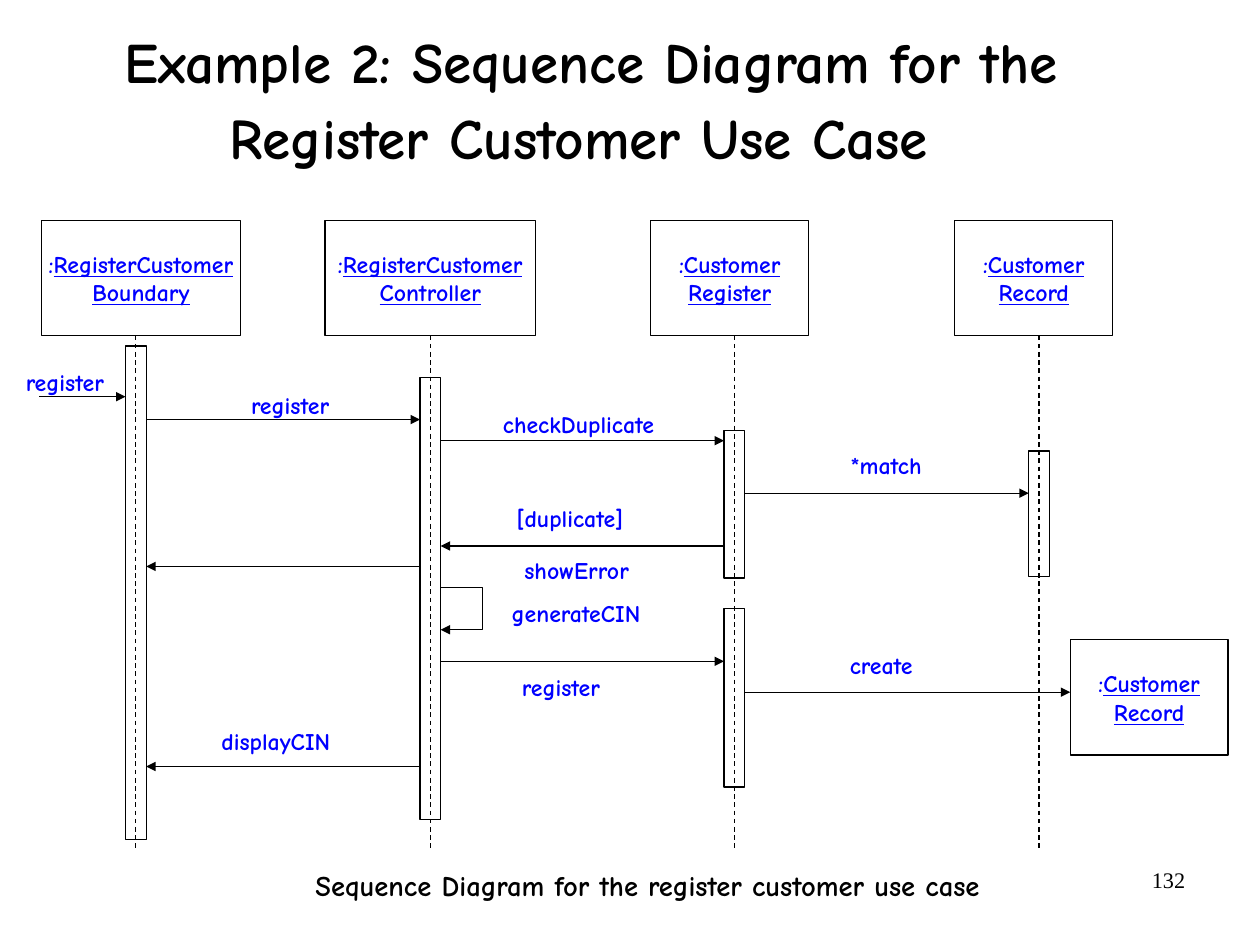
import pptx
import pptx.dml.color
import pptx.enum.dml
import pptx.enum.shapes
import pptx.enum.text
import pptx.oxml
import pptx.oxml.ns
import pptx.util
from lxml import etree

Pt = pptx.util.Pt
ALIGN = pptx.enum.text.PP_ALIGN
ANCHOR = pptx.enum.text.MSO_ANCHOR
FIT = pptx.enum.text.MSO_AUTO_SIZE
COLORS = {"ink": "000000", "label": "0000FF"}
TITLE_FONT = {"name": "Comic Neue", "size": Pt(36), "bold": True}
LABEL_FONT = {"name": "Comic Neue", "size": Pt(15), "bold": True}
CAPTION_FONT = {"name": "Comic Neue", "size": Pt(18), "bold": True}
NUMBER_FONT = {"name": "Times New Roman", "size": Pt(14), "bold": False}
GROWING = {"word_wrap": False, "auto_size": FIT.SHAPE_TO_FIT_TEXT}
FIXED = {"word_wrap": True, "auto_size": FIT.NONE}

HEAD_HEIGHT = 72.7
HALF_BAR = 6.5
PARTICIPANTS = {
    "boundary": (10.6, 125.3, 70, "RegisterCustomer", "Boundary"),
    "controller": (189.2, 132.5, 255.5, "RegisterCustomer", "Controller"),
    "register": (394.4, 99.4, 447, "Customer", "Register"),
    "record": (585.9, 99.4, 639, "Customer", "Record"),
}
CREATED_RECORD = (658.6, 264.2, 99.4, HEAD_HEIGHT)
ACTIVATIONS = [
    ("boundary", 79.2, 311),
    ("controller", 99.3, 278),
    ("register", 132.4, 93),
    ("register", 244.8, 112.3),
    ("record", 145.4, 79.2),
]
MESSAGES = [
    ("actor", "boundary", 111.2),
    ("boundary", "controller", 125.6),
    ("controller", "register", 138.9),
    ("register", "record", 172),
    ("register", "controller", 205.2),
    ("controller", "boundary", 218.1),
    ("controller", "register", 277.9),
    ("register", "created", 297.3),
    ("controller", "boundary", 344.1),
]
LABELS = [
    ("register", 0.2, 92.8, 49.7),
    ("register", 142.1, 107.5, 49.7),
    ("checkDuplicate", 300.8, 119.5, 95.8),
    ("*match", 519.7, 145.4, 45.4),
    ("[duplicate]", 309.4, 178.5, 67.7),
    ("showError", 314.5, 211.6, 66.2),
    ("generateCIN", 305.8, 238.3, 82.1),
    ("register", 312.7, 284.7, 49.7),
    ("create", 519, 271.4, 40.3),
    ("displayCIN", 123.5, 319.2, 69),
]


def apply(target, values):
    """Set each named value on the target."""
    for name, value in values.items():
        setattr(target, name, value)


def set_frame(frame, margins, **values):
    """Set left-right and top-bottom margins and other frame values."""
    side, edge = (Pt(margin) for margin in margins)
    apply(frame, {"margin_left": side, "margin_right": side, "margin_top": edge,
                  "margin_bottom": edge, **values})


def add_run(paragraph, text, font, color, **extra):
    """Add one formatted run."""
    run = paragraph.add_run()
    run.text = text
    apply(run.font, {**font, **extra})
    run.font.color.rgb = pptx.dml.color.RGBColor.from_string(COLORS[color])


def draw_line(shape, dashed=False, arrow=False):
    """Give a shape or connector a thin ink line without shadow."""
    shape.line.color.rgb = pptx.dml.color.RGBColor.from_string(COLORS["ink"])
    shape.line.width = Pt(0.75)
    if dashed:
        shape.line.dash_style = pptx.enum.dml.MSO_LINE.DASH
    properties = shape.element.spPr
    if arrow:
        outline = properties.find(pptx.oxml.ns.qn("a:ln"))
        etree.SubElement(outline, pptx.oxml.ns.qn("a:tailEnd"), type="triangle")
    if properties.find(pptx.oxml.ns.qn("a:effectLst")) is None:
        etree.SubElement(properties, pptx.oxml.ns.qn("a:effectLst"))


def add_outline(slide, box):
    """Add an unfilled rectangle."""
    outline = slide.shapes.add_shape(pptx.enum.shapes.MSO_SHAPE.RECTANGLE, *map(Pt, box))
    outline.fill.background()
    draw_line(outline)
    return outline


def add_straight(slide, start, end, **look):
    """Add a straight line between two points."""
    line = slide.shapes.add_connector(
        pptx.enum.shapes.MSO_CONNECTOR.STRAIGHT, *map(Pt, (*start, *end)))
    draw_line(line, **look)


def add_text(slide, box, text, font, color, align, margins=(0, 0), fit=GROWING):
    """Add a one-line text."""
    frame = slide.shapes.add_textbox(*map(Pt, box)).text_frame
    set_frame(frame, margins, **fit)
    frame.paragraphs[0].alignment = align
    add_run(frame.paragraphs[0], text, font, color)


def add_head(slide, box, class_name, role):
    """Add an object box with its underlined name."""
    frame = add_outline(slide, box).text_frame
    set_frame(frame, (8, 4), word_wrap=False, vertical_anchor=ANCHOR.MIDDLE)
    first, second = frame.paragraphs[0], frame.add_paragraph()
    first.alignment = second.alignment = ALIGN.CENTER
    add_run(first, ":", LABEL_FONT, "label")
    add_run(first, class_name, LABEL_FONT, "label", underline=True)
    add_run(second, role, LABEL_FONT, "label", underline=True)


def add_self_call(slide, x, y, size):
    """Add a square arrow that returns to its own bar."""
    builder = slide.shapes.build_freeform(Pt(x), Pt(y))
    corners = [(x + size, y), (x + size, y + size), (x, y + size)]
    builder.add_line_segments([(Pt(a), Pt(b)) for a, b in corners], close=False)
    loop = builder.convert_to_shape()
    loop.fill.background()
    draw_line(loop, arrow=True)


def add_title(slide, box):
    """Fill and place the slide title."""
    title = slide.shapes.title
    apply(title, dict(zip(("left", "top", "width", "height"), map(Pt, box))))
    set_frame(title.text_frame, (1.5, 4.3), vertical_anchor=ANCHOR.MIDDLE, **FIXED)
    heading = title.text_frame.paragraphs[0]
    apply(heading, {"alignment": ALIGN.CENTER, "line_spacing": 0.94, "space_before": Pt(0)})
    add_run(heading, "Example 2: Sequence Diagram for the Register Customer Use Case",
            TITLE_FONT, "ink")
    add_run(heading, " ", TITLE_FONT, "ink", size=Pt(44))


def add_sequence_diagram(slide, box):
    """Draw participants, lifelines, activations and messages."""
    left, top, _, height = box
    stations = {"actor": (left + 9.2, 0), "created": (left + CREATED_RECORD[0], 0)}
    for name, (x, width, lifeline, class_name, role) in PARTICIPANTS.items():
        axis = left + lifeline
        stations[name] = (axis, HALF_BAR)
        add_head(slide, (left + x, top, width, HEAD_HEIGHT), class_name, role)
        add_straight(slide, (axis, top + HEAD_HEIGHT), (axis, top + height), dashed=True)
    x, y, width, head_height = CREATED_RECORD
    add_head(slide, (left + x, top + y, width, head_height), "Customer", "Record")

    for name, y, length in ACTIVATIONS:
        add_outline(slide, (stations[name][0] - HALF_BAR, top + y, 2 * HALF_BAR, length))
    for sender, receiver, y in MESSAGES:
        (start, start_gap), (end, end_gap) = stations[sender], stations[receiver]
        direction = 1 if end > start else -1
        add_straight(slide, (start + direction * start_gap, top + y),
                     (end - direction * end_gap, top + y), arrow=True)
    add_self_call(slide, stations["controller"][0] + HALF_BAR, top + 231.4, 26.6)
    for text, x, y, width in LABELS:
        add_text(slide, (left + x, top + y, width, 18), text, LABEL_FONT, "label", ALIGN.RIGHT)


def main():
    """Build and save the slide."""
    deck = pptx.Presentation()
    apply(deck, {"slide_width": Pt(793.75), "slide_height": Pt(595.25)})
    slide = deck.slides.add_slide(deck.slide_layouts[5])
    add_title(slide, (35.1, -4.3, 674.6, 139))
    add_sequence_diagram(slide, (15.6, 138.7, 769, 396.7))
    add_text(slide, (198.7, 546.9, 421.2, 21.6),
             "Sequence Diagram for the register customer use case",
             CAPTION_FONT, "ink", ALIGN.LEFT)
    add_text(slide, (568.8, 541.9, 185, 41), "132", NUMBER_FONT, "ink", ALIGN.RIGHT,
             (7.2, 3.6), FIXED)
    deck.save("out.pptx")


if __name__ == "__main__":
    main()
